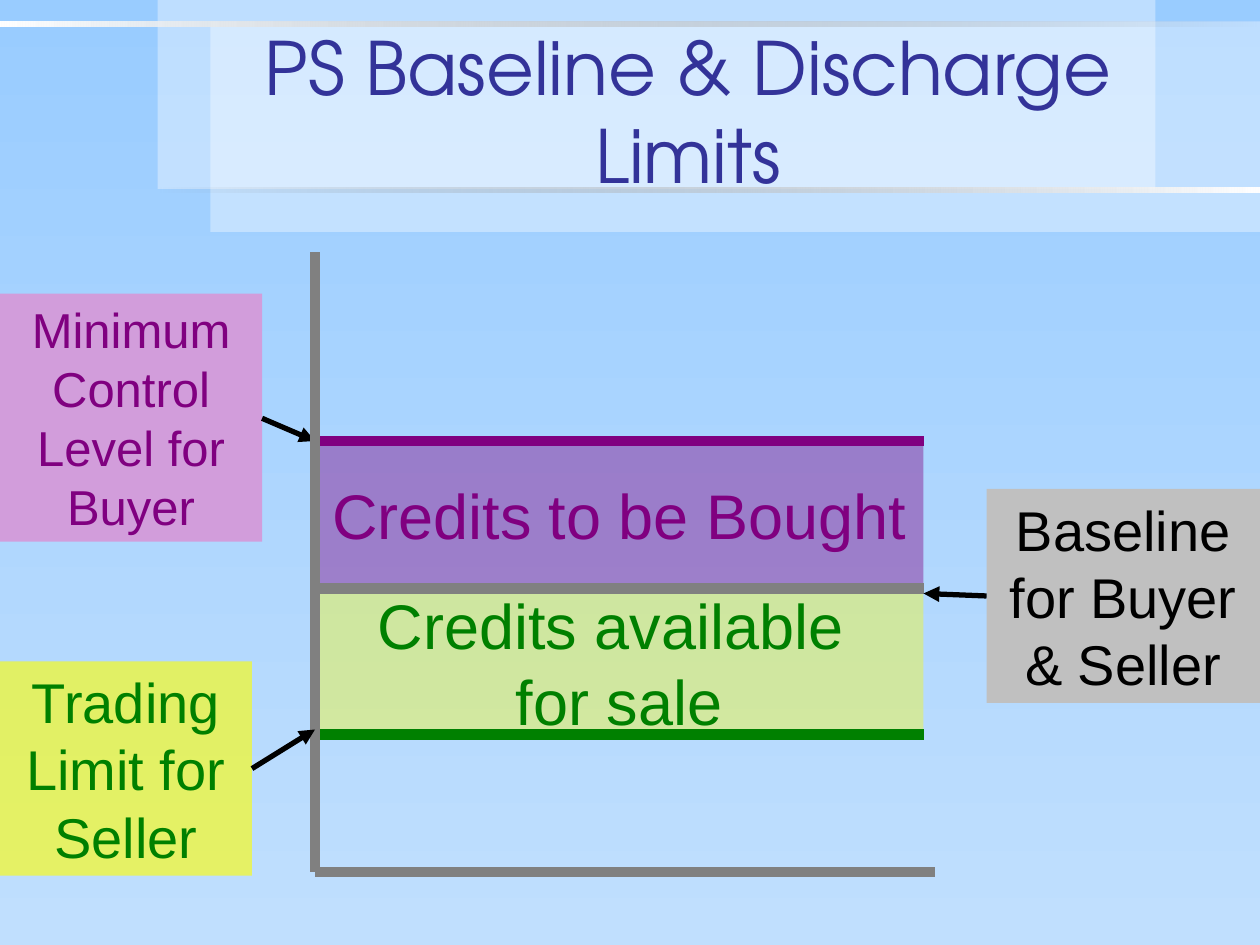
from lxml import etree
from pptx import Presentation
from pptx.dml.color import RGBColor as RGB
from pptx.enum.shapes import MSO_CONNECTOR as LINE, MSO_SHAPE as SHAPE
from pptx.enum.text import MSO_ANCHOR as ANCHOR, MSO_AUTO_SIZE as AUTO, PP_ALIGN as ALIGN
from pptx.oxml.ns import qn
from pptx.util import Inches, Pt

SKY = RGB(0x99, 0xCC, 0xFF)
PALE = RGB(0xC0, 0xDF, 0xFE)
WHITE = RGB(0xFF, 0xFF, 0xFF)
DARK = RGB(0x75, 0x75, 0x75)
NAVY = RGB(0x33, 0x33, 0x99)
GREEN = RGB(0x00, 0x80, 0x00)
YELLOW = RGB(0xFF, 0xFF, 0x00)
PURPLE = RGB(0x80, 0x00, 0x80)
LILAC = RGB(0xD2, 0x9D, 0xDB)
GRAY = RGB(0x80, 0x80, 0x80)
SILVER = RGB(0xC0, 0xC0, 0xC0)
BLACK = RGB(0x00, 0x00, 0x00)

deck = Presentation()
deck.slide_width, deck.slide_height = Inches(10), Inches(7.5)
slide = deck.slides.add_slide(deck.slide_layouts[5])
shapes = slide.shapes
tree = shapes._spTree

back = slide.background.fill
back.gradient()
back.gradient_angle = 270
for stop, color in zip(back.gradient_stops, (SKY, PALE)):
    stop.color.rgb = color


def add_box(left, top, width, height, color, alpha=100, lines=(), size=32, ink=BLACK):
    box = shapes.add_shape(SHAPE.RECTANGLE, Inches(left), Inches(top), Inches(width), Inches(height))
    box.shadow.inherit = False
    box.line.fill.background()
    box.fill.solid()
    box.fill.fore_color.rgb = color
    if alpha < 100:
        tone = box._element.spPr.find(qn("a:solidFill"))[0]
        etree.SubElement(tone, qn("a:alpha"), val=str(alpha * 1000))
    frame = box.text_frame
    frame.word_wrap = True
    for i, words in enumerate(lines):
        para = frame.add_paragraph() if i else frame.paragraphs[0]
        para.alignment = ALIGN.CENTER
        para.line_spacing = Pt(size * 1.2)
        run = para.add_run()
        run.text = words
        run.font.name = "Arial"
        run.font.size = Pt(size)
        run.font.color.rgb = ink
    return box


def add_line(x1, y1, x2, y2, color, width=6, arrow=False):
    line = shapes.add_connector(LINE.STRAIGHT, Inches(x1), Inches(y1), Inches(x2), Inches(y2))
    line.line.color.rgb = color
    line.line.width = Pt(width)
    props = line._element.spPr
    if arrow:
        etree.SubElement(props.find(qn("a:ln")), qn("a:tailEnd"), type="triangle")
    etree.SubElement(props, qn("a:effectLst"))


add_box(1.67, 0.17, 8.33, 1.67, WHITE, 37)
add_box(1.25, 0, 7.92, 1.5, WHITE, 37)
for left, top, width, clear in ((0, 0.17, 10, 1), (1.25, 1.49, 8.75, 0)):
    bar = add_box(left, top, width, 0.04, WHITE)
    bar.fill.gradient()
    bar.fill.gradient_angle = 0
    for i, stop in enumerate(bar.fill.gradient_stops):
        stop.color.rgb = DARK if i == clear else WHITE
    tone = bar._element.spPr.findall(".//" + qn("a:srgbClr"))[clear]
    etree.SubElement(tone, qn("a:alpha"), val="0")

title = shapes.title
tree.append(title._element)
title.left, title.top = Inches(1.67), Inches(0.25)
title.width, title.height = Inches(7.58), Inches(1.25)
frame = title.text_frame
frame.word_wrap = True
frame.auto_size = AUTO.NONE
frame.vertical_anchor = ANCHOR.MIDDLE
para = frame.paragraphs[0]
para.alignment = ALIGN.CENTER
run = para.add_run()
run.text = "PS Baseline & Discharge Limits"
run.font.name = "TeX Gyre Adventor"
run.font.size = Pt(42)
run.font.color.rgb = NAVY

bands = (
    (4.67, YELLOW, 37, ("Credits available ", "for sale"), GREEN),
    (3.5, PURPLE, 41, ("Credits to be Bought",), PURPLE),
)
for top, color, alpha, lines, ink in bands:
    band = add_box(2.5, top, 4.83, 1.17, color, alpha, lines, 36, ink)
    band.text_frame.word_wrap = False
    band.text_frame.vertical_anchor = ANCHOR.MIDDLE

for y, color in ((5.83, GREEN), (3.5, PURPLE), (4.67, GRAY)):
    add_line(2.5, y, 7.33, y, color)
add_line(2.5, 6.92, 7.42, 6.92, GRAY)

labels = (
    (7.83, 3.88, 2.17, 1.7, SILVER, 100, ("Baseline for Buyer & Seller",), 32, BLACK),
    (0, 2.33, 2.08, 1.97, LILAC, 100, ("Minimum Control Level for Buyer",), 28, PURPLE),
    (0, 5.25, 2, 1.7, YELLOW, 60, ("Trading Limit for Seller",), 32, GREEN),
)
for label in labels:
    frame = add_box(*label).text_frame
    frame.vertical_anchor = ANCHOR.TOP
    frame.auto_size = AUTO.SHAPE_TO_FIT_TEXT

add_line(7.83, 4.73, 7.33, 4.71, BLACK, 3, True)
add_line(2.08, 3.32, 2.5, 3.5, BLACK, 3, True)
add_line(2.5, 2, 2.5, 6.92, GRAY)
add_line(2, 6.1, 2.5, 5.79, BLACK, 3, True)

deck.save("out.pptx")
